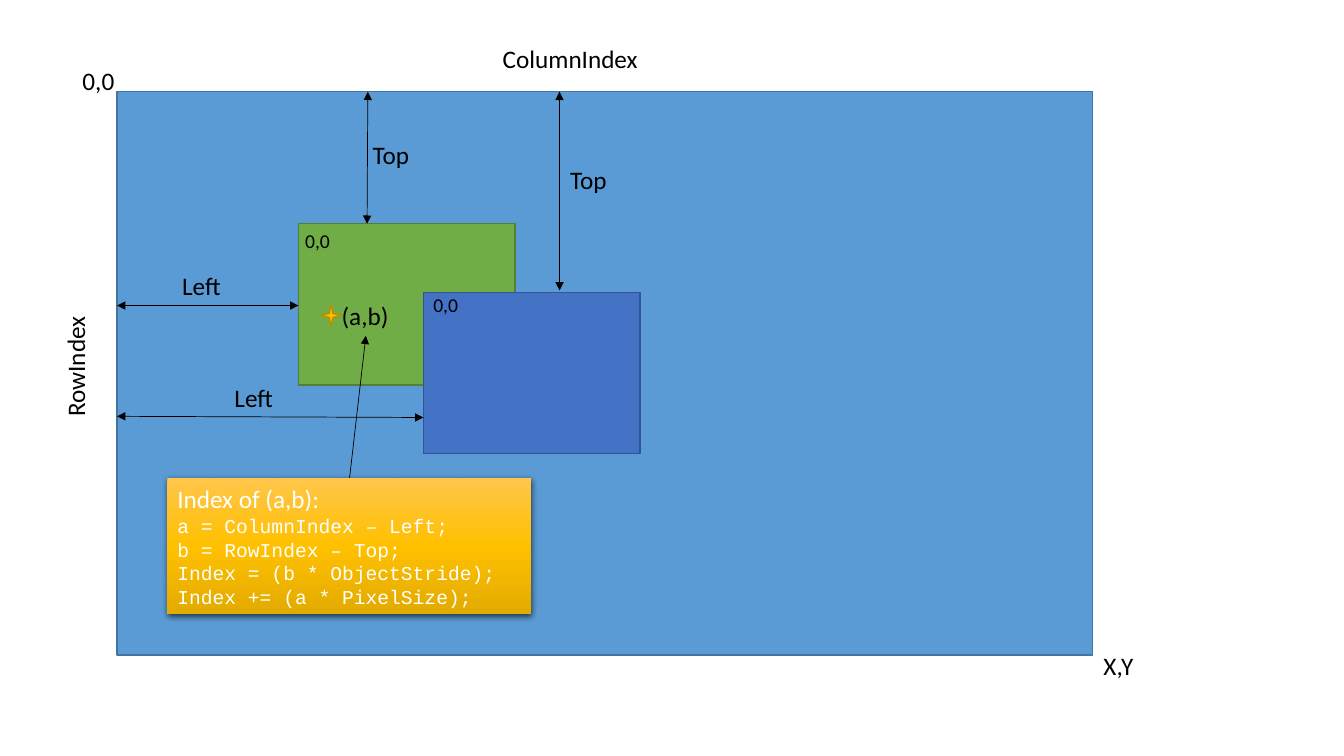
import pptx
import pptx.util
import pptx.dml.color
import pptx.enum.shapes
import pptx.enum.text
import pptx.oxml
import pptx.oxml.ns

Cm, Pt = pptx.util.Cm, pptx.util.Pt
RGB = pptx.dml.color.RGBColor
KIND = pptx.enum.shapes.MSO_SHAPE
FIT = pptx.enum.text.MSO_AUTO_SIZE
qn = pptx.oxml.ns.qn
NS = pptx.oxml.ns.nsdecls("a")

BLACK, WHITE = RGB(0, 0, 0), RGB(255, 255, 255)
SKY, SKY_EDGE = RGB(0x5B, 0x9B, 0xD5), RGB(0x43, 0x73, 0x9E)
GREEN, GREEN_EDGE = RGB(0x70, 0xAD, 0x47), RGB(0x53, 0x80, 0x35)
BLUE, BLUE_EDGE = RGB(0x44, 0x72, 0xC4), RGB(0x32, 0x54, 0x91)
GOLD, GOLD_EDGE = RGB(0xFF, 0xC0, 0x00), RGB(0xBD, 0x8E, 0x00)
PALE, DARK = RGB(0xFF, 0xC6, 0x4B), RGB(0xE3, 0xAB, 0x00)


def add_run(para, text, size, color, font="Calibri"):
    run = para.add_run()
    run.text = text
    run.font.size, run.font.name = Pt(size), font
    run.font.color.rgb = color


def add_box(slide, kind, area, fill, edge):
    box = slide.shapes.add_shape(kind, *map(Cm, area))
    box.shadow.inherit = False
    box.fill.solid()
    box.fill.fore_color.rgb = fill
    box.line.color.rgb = edge
    box.line.width = Pt(1)
    return box


def add_label(slide, text, left, top, width, size=18, turn=0):
    height = 1.02 if size == 18 else 0.86
    label = slide.shapes.add_textbox(Cm(left), Cm(top), Cm(width), Cm(height))
    label.rotation = turn
    frame = label.text_frame
    frame.word_wrap = False
    frame.auto_size = FIT.SHAPE_TO_FIT_TEXT
    add_run(frame.paragraphs[0], text, size, BLACK)


def add_arrow(slide, ends, heads=("headEnd", "tailEnd")):
    arrow = slide.shapes.add_connector(
        pptx.enum.shapes.MSO_CONNECTOR.STRAIGHT, *map(Cm, ends))
    arrow.line.color.rgb = BLACK
    arrow.line.width = Pt(0.5)
    props = arrow._element.spPr
    for head in heads:
        props.find(qn("a:ln")).append(
            pptx.oxml.parse_xml(f'<a:{head} {NS} type="triangle"/>'))
    props.append(pptx.oxml.parse_xml(f"<a:effectLst {NS}/>"))


def add_note(slide, area, title, code):
    note = add_box(slide, KIND.RECTANGLE, area, GOLD, GOLD)
    note.line.fill.background()

    # Three-stop gradient from top to bottom
    note.fill.gradient()
    props = note._element.spPr
    grad = props.find(qn("a:gradFill"))
    stops = "".join(
        f'<a:gs pos="{pos}000"><a:srgbClr val="{color}"/></a:gs>'
        for pos, color in ((0, PALE), (50, GOLD), (100, DARK)))
    grad.replace(grad.find(qn("a:gsLst")),
                 pptx.oxml.parse_xml(f"<a:gsLst {NS}>{stops}</a:gsLst>"))
    grad.find(qn("a:lin")).set("ang", "5400000")

    # Soft shadow below
    props.find(qn("a:effectLst")).append(pptx.oxml.parse_xml(
        f'<a:outerShdw {NS} blurRad="{Pt(4.5)}" dist="{Pt(1.5)}" dir="5400000" '
        'algn="ctr" rotWithShape="0"><a:srgbClr val="000000">'
        '<a:alpha val="63000"/></a:srgbClr></a:outerShdw>'))

    # Heading and code lines
    frame = note.text_frame
    frame.word_wrap = True
    frame.auto_size = FIT.SHAPE_TO_FIT_TEXT
    add_run(frame.paragraphs[0], title, 18, WHITE)
    for line in code:
        add_run(frame.add_paragraph(), line, 14, WHITE, "Courier New")
    for para in frame.paragraphs:
        para.alignment = pptx.enum.text.PP_ALIGN.LEFT


def main():
    deck = pptx.Presentation()
    deck.slide_width, deck.slide_height = Cm(33.87), Cm(19.05)
    slide = deck.slides.add_slide(deck.slide_layouts[6])

    # Image plane and the two objects on it
    left, top = 2.95, 2.31
    size = (5.46, 4.06)
    add_box(slide, KIND.RECTANGLE, (left, top, 24.59, 14.2), SKY, SKY_EDGE)
    add_box(slide, KIND.RECTANGLE, (7.52, 5.64, *size), GREEN, GREEN_EDGE)
    add_box(slide, KIND.RECTANGLE, (10.67, 7.37, *size), BLUE, BLUE_EDGE)

    # Offsets of the objects
    for ends in ((7.52, 7.7, left, 7.7), (10.67, 10.52, left, 10.49),
                 (9.25, 5.64, 9.27, top), (14.1, 7.32, 14.1, top)):
        add_arrow(slide, ends)

    # Corners, offsets and axes
    for label in (("0,0", 1.83, 1.52, 1.32), ("X,Y", 27.56, 16.26, 1.27),
                  ("0,0", 7.44, 5.64, 1.14, 14), ("0,0", 10.67, 7.26, 1.14, 14),
                  ("Left", 4.34, 6.68, 1.5), ("Left", 5.66, 9.5, 1.5),
                  ("Top", 9.14, 3.38, 1.45), ("Top", 14.12, 4.01, 1.45),
                  ("ColumnIndex", 12.42, 0.97, 3.96),
                  ("RowIndex", 0.36, 8.71, 3.07, 18, 270),
                  ("(a,b)", 8.36, 7.44, 1.7)):
        add_label(slide, *label)

    # Marked point and its formula
    add_box(slide, KIND.STAR_4_POINT, (8.08, 7.67, 0.53, 0.56), GOLD, GOLD_EDGE)
    add_note(slide, (4.22, 12.04, 9.17, 3.43), "Index of (a,b):",
             ("a = ColumnIndex – Left;", "b = RowIndex – Top;",
              "Index = (b * ObjectStride);", "Index += (a * PixelSize);"))
    add_arrow(slide, (8.81, 12.04, 9.22, 8.46), ("tailEnd",))

    deck.save("out.pptx")


main()
